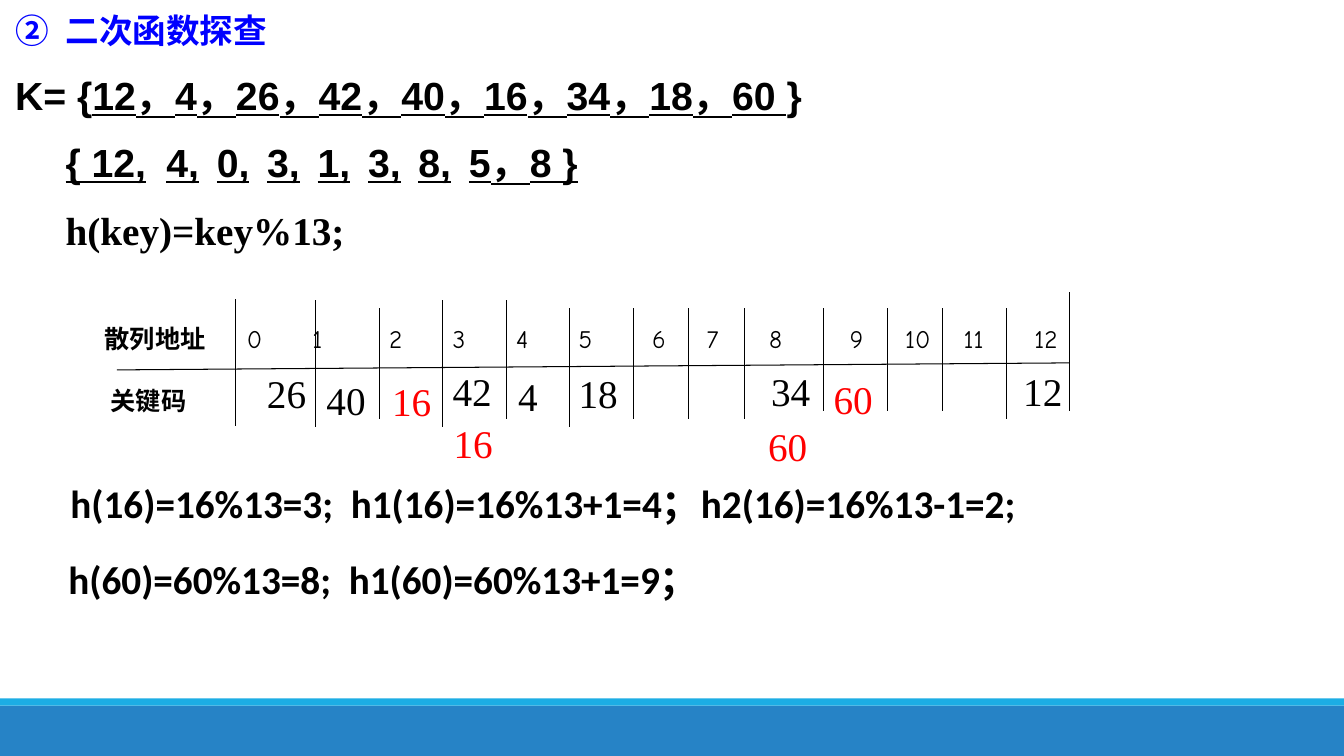
"""Build the slide on quadratic probing in a hash table."""
from lxml.etree import SubElement
from pptx import Presentation
from pptx.dml.color import RGBColor
from pptx.enum.shapes import MSO_CONNECTOR, MSO_SHAPE
from pptx.enum.text import MSO_ANCHOR, MSO_AUTO_SIZE, PP_ALIGN
from pptx.oxml.ns import qn
from pptx.util import Inches, Pt

COLORS = {"black": "000000", "red": "FF0000", "title": "0000FF",
          "footer": "2683C6", "stripe": "1CADE4"}
CJK_FONT = "Noto Sans CJK SC"
SERIF = "Times New Roman"

TITLE = "二次函数探查"
KEYS = [12, 4, 26, 42, 40, 16, 34, 18, 60]
REMAINDERS = ["{ 12,", "4,", "0,", "3,", "1,", "3,", "8,", "5，8 }"]
REMAINDER_TABS = [0.53, 1.56, 2.31, 3.06, 3.93, 4.79, 5.54, 6.41]
HASH_FUNCTION = "h(key)=key%13;"

BODY_LINES = [
    ([], "Arial", [("K= {", False), ("，".join(map(str, KEYS)) + " ", True), ("}", False)]),
    (REMAINDER_TABS, "Arial", [("\t", False), ("\t".join(REMAINDERS), True)]),
    ([0.68], SERIF, [("\t" + HASH_FUNCTION, False)]),
]

ADDRESS_LABEL = "散列地址"
KEY_LABEL = "关键码"
ADDRESS_TABS = [1.41, 2.06, 2.82, 3.45, 4.08, 4.7, 5.43, 5.97, 6.59, 7.39, 7.94, 8.52, 9.22]

STORED_KEYS = [
    ("26", 2.55, 3.61, "black"), ("40", 3.14, 3.68, "black"),
    ("16", 3.79, 3.69, "red"), ("42", 4.39, 3.59, "black"),
    ("4", 5.04, 3.64, "black"), ("18", 5.64, 3.61, "black"),
    ("34", 7.55, 3.59, "black"), ("60", 8.17, 3.67, "red"),
    ("12", 10.05, 3.59, "black"),
    ("16", 4.4, 4.11, "red"), ("60", 7.52, 4.14, "red"),
]
FORMULAS = [
    ("h(16)=16%13=3;  h1(16)=16%13+1=4；h2(16)=16%13-1=2;", 0.6, 4.71, 9.88),
    ("h(60)=60%13=8;  h1(60)=60%13+1=9；", 0.58, 5.46, 8.29),
]

ROW_RULE = (1.16, 3.67, 10.61, 3.6)
COLUMN_RULES = [
    (2.34, 2.97, 4.23), (3.13, 2.98, 4.24), (3.76, 3.06, 4.16), (4.39, 2.98, 4.24),
    (5.02, 2.98, 4.16), (5.65, 3.06, 4.24), (6.28, 3.06, 4.16), (6.83, 3.06, 4.16),
    (7.38, 3.06, 4.16), (8.17, 3.06, 4.08), (8.8, 3.06, 4.08), (9.35, 3.06, 4.08),
    (9.98, 3.06, 4.16), (10.61, 2.9, 4.08),
]
FOOTER_BANDS = [("footer", 7, 0.5), ("stripe", 6.93, 0.07)]


def write(para, text, size=28, font=SERIF, color="black", bold=False, underline=False):
    """Append formatted text to a paragraph."""
    span = para.add_run()
    span.text = text
    span.font.size = Pt(size)
    span.font.name = font
    span.font.bold = bold
    span.font.underline = underline
    span.font.color.rgb = RGBColor.from_string(COLORS[color])
    SubElement(span.font._element, qn("a:ea"), typeface=CJK_FONT)


def set_tabs(para, stops):
    """Give a paragraph left tab stops, in inches."""
    tabs = SubElement(para._p.get_or_add_pPr(), qn("a:tabLst"))
    for stop in stops:
        SubElement(tabs, qn("a:tab"), pos=str(Inches(stop)), algn="l")


def place(box, left, top, width, height):
    """Move and resize a placeholder, and return its text frame."""
    box.left, box.top = Inches(left), Inches(top)
    box.width, box.height = Inches(width), Inches(height)
    frame = box.text_frame
    frame.word_wrap = True
    frame.auto_size = MSO_AUTO_SIZE.NONE
    frame.vertical_anchor = MSO_ANCHOR.TOP
    return frame


def add_text(page, text, left, top, width, height=0.57, **style):
    """Add a text box and return its paragraph."""
    box = page.shapes.add_textbox(Inches(left), Inches(top), Inches(width), Inches(height))
    box.text_frame.word_wrap = True
    para = box.text_frame.paragraphs[0]
    write(para, text, **style)
    return para


def add_rule(page, *ends):
    """Add a thin black line."""
    rule = page.shapes.add_connector(MSO_CONNECTOR.STRAIGHT, *map(Inches, ends))
    rule.line.color.rgb = RGBColor.from_string(COLORS["black"])
    rule.line.width = Pt(0.75)
    SubElement(rule._element.spPr, qn("a:effectLst"))


def add_heading(page):
    """Fill the title and the body lines."""
    para = place(page.shapes.title, 0.05, 0.05, 11.61, 0.6).paragraphs[0]
    para.alignment = PP_ALIGN.LEFT
    props = para._p.get_or_add_pPr()
    props.set("marL", str(Inches(0.5)))
    props.set("indent", str(Inches(-0.5)))
    SubElement(props, qn("a:buAutoNum"), type="circleNumDbPlain", startAt="2")
    write(para, TITLE, size=24, font=CJK_FONT, color="title", bold=True)

    frame = place(page.placeholders[1], 0.05, 0.51, 11.61, 2.1)
    frame.margin_top = 0
    for index, (stops, font, spans) in enumerate(BODY_LINES):
        para = frame.add_paragraph() if index else frame.paragraphs[0]
        para.space_before = Pt(0)
        para.line_spacing = Pt(48)
        props = para._p.get_or_add_pPr()
        props.set("marL", "0")
        props.set("indent", "0")
        SubElement(props, qn("a:buNone"))
        set_tabs(para, stops)
        for text, underline in spans:
            write(para, text, font=font, bold=True, underline=underline)


def add_hash_table(page):
    """Draw the table rules, its labels and the stored keys."""
    add_rule(page, *ROW_RULE)
    for x, top, bottom in COLUMN_RULES:
        add_rule(page, x, top, x, bottom)
    label = {"size": 18, "font": "Comic Neue"}
    para = add_text(page, ADDRESS_LABEL, 0.94, 3.16, 9.9, 0.4, bold=True, **label)
    set_tabs(para, ADDRESS_TABS)
    write(para, "".join(f"\t{address}" for address in range(13)), **label)
    add_text(page, KEY_LABEL, 1, 3.77, 1.34, 0.4, bold=True, **label)
    for key, left, top, color in STORED_KEYS:
        add_text(page, key, left, top, 0.67, color=color)


def main():
    """Assemble and save the deck."""
    deck = Presentation()
    deck.slide_width, deck.slide_height = Inches(13.33), Inches(7.5)
    page = deck.slides.add_slide(deck.slide_layouts[1])
    for color, top, height in FOOTER_BANDS:
        band = page.shapes.add_shape(MSO_SHAPE.RECTANGLE, 0, Inches(top),
                                     deck.slide_width, Inches(height))
        band.shadow.inherit = False
        band.fill.solid()
        band.fill.fore_color.rgb = RGBColor.from_string(COLORS[color])
        band.line.fill.background()
    add_heading(page)
    add_hash_table(page)
    for text, left, top, width in FORMULAS:
        add_text(page, text, left, top, width, font="Calibri", bold=True)
    deck.save("out.pptx")


if __name__ == "__main__":
    main()
